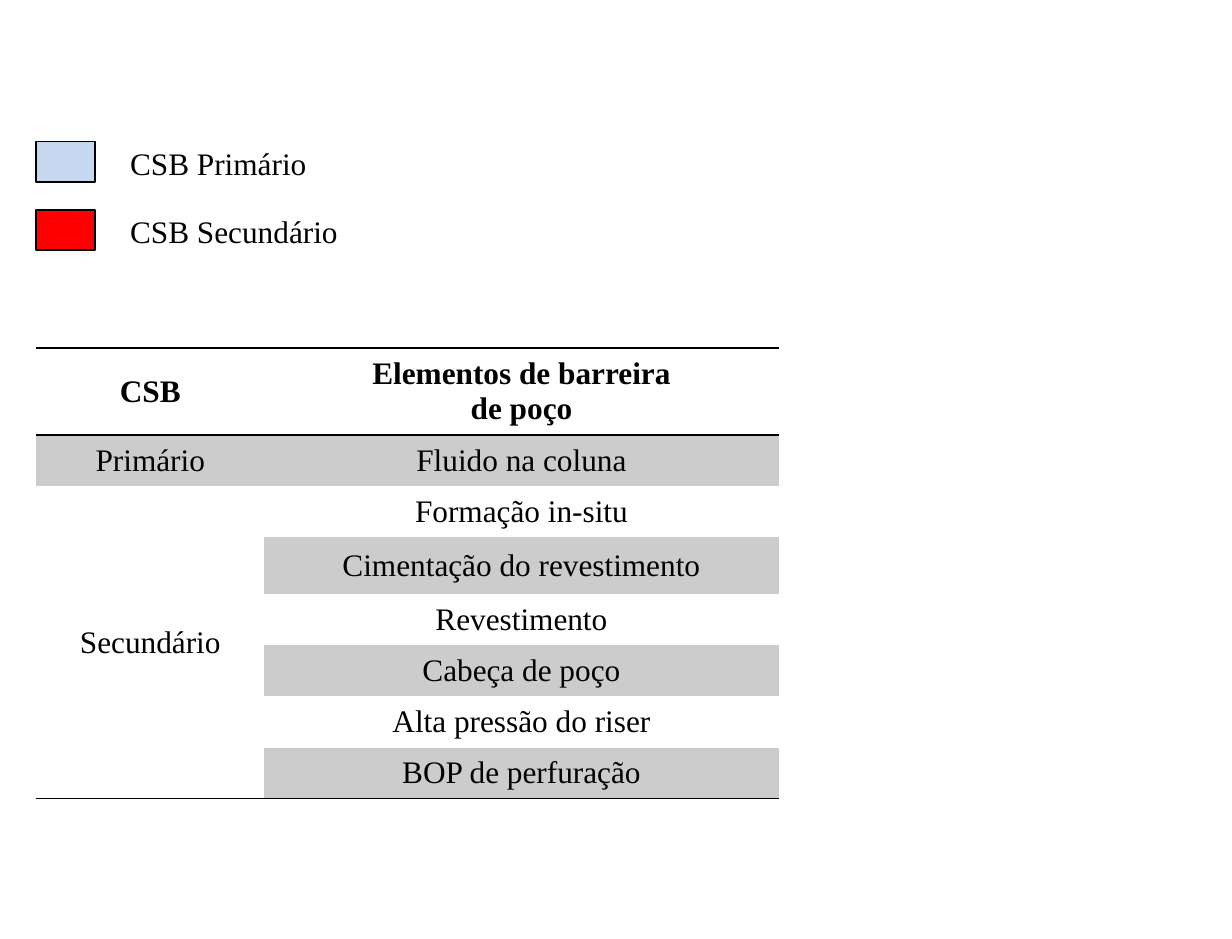
from pptx import Presentation
from pptx.dml.color import RGBColor
from pptx.enum.shapes import MSO_SHAPE
from pptx.enum.text import MSO_ANCHOR, PP_ALIGN
from pptx.oxml import parse_xml
from pptx.oxml.ns import nsdecls, qn
from pptx.util import Inches, Pt

RECTANGLE = MSO_SHAPE.RECTANGLE
MIDDLE = MSO_ANCHOR.MIDDLE
CENTER = PP_ALIGN.CENTER

COLORS = {"ink": "000000", "primary": "C6D8F0", "secondary": "FF0000", "band": "CCCCCC"}
FONT = "Times New Roman"
NO_STYLE = "{2D5ABB26-0587-4C30-8999-92F81FD0307C}"
SLIDE_WIDTH, SLIDE_HEIGHT = 9.84, 7.5
LEFT = 0.29

LEGEND = [("CSB Primário", "primary"), ("CSB Secundário", "secondary")]
BARRIERS = [
    ("CSB", "Elementos de barreira\nde poço"),
    ("Primário", "Fluido na coluna"),
    ("Secundário", "Formação in-situ"),
    ("", "Cimentação do revestimento"),
    ("", "Revestimento"),
    ("", "Cabeça de poço"),
    ("", "Alta pressão do riser"),
    ("", "BOP de perfuração"),
]
COLUMN_SHARES = [0.307, 0.693]
ROW_WEIGHTS = [0.7, 0.41, 0.41, 0.46, 0.41, 0.41, 0.41, 0.41]


def color(name):
    """Return a palette colour."""
    return RGBColor.from_string(COLORS[name])


def write(frame, text, bold=False, align=None):
    """Fill a text frame with the slide's type style."""
    frame.text = text
    for paragraph in frame.paragraphs:
        paragraph.alignment = align
        font = paragraph.font
        font.name, font.size, font.bold = FONT, Pt(18), bold
        font.color.rgb = color("ink")


def rule_cell(cell, sides):
    """Draw one-point rules on the given sides of a cell."""
    properties = cell._tc.get_or_add_tcPr()
    for position, side in enumerate(sides):
        properties.insert(position, parse_xml(
            f'<a:ln{side} {nsdecls("a")} w="{Pt(1)}"><a:solidFill>'
            f'<a:srgbClr val="{COLORS["ink"]}"/></a:solidFill></a:ln{side}>'))


def add_legend(slide, left, top, width, height):
    """Place a colour swatch and a label for each barrier set."""
    pitch = height / len(LEGEND)
    swatch_width, swatch_height = 0.18 * width, 0.59 * pitch
    label_left = 0.25 * width
    for index, (label, fill) in enumerate(LEGEND):
        row_top = top + index * pitch
        swatch = slide.shapes.add_shape(
            RECTANGLE, Inches(left), Inches(row_top),
            Inches(swatch_width), Inches(swatch_height))
        swatch.shadow.inherit = False
        swatch.fill.solid()
        swatch.fill.fore_color.rgb = color(fill)
        swatch.line.color.rgb = color("ink")
        swatch.line.width = Pt(1)
        caption = slide.shapes.add_textbox(
            Inches(left + label_left), Inches(row_top - 0.03),
            Inches(width - label_left), Inches(0.4))
        caption.text_frame.word_wrap = True
        write(caption.text_frame, label)


def add_barrier_table(slide, left, top, width, height):
    """Place the banded table of well barrier elements."""
    table = slide.shapes.add_table(
        len(BARRIERS), len(COLUMN_SHARES), Inches(left), Inches(top),
        Inches(width), Inches(height)).table
    table._tbl.tblPr.find(qn("a:tableStyleId")).text = NO_STYLE
    table.first_row = table.horz_banding = False
    for column, share in zip(table.columns, COLUMN_SHARES):
        column.width = Inches(width * share)
    for row, weight in zip(table.rows, ROW_WEIGHTS):
        row.height = Inches(height * weight / sum(ROW_WEIGHTS))

    last = len(BARRIERS) - 1
    table.cell(2, 0).merge(table.cell(last, 0))
    for row_index, texts in enumerate(BARRIERS):
        for column_index, text in enumerate(texts):
            cell = table.cell(row_index, column_index)
            cell.vertical_anchor = MIDDLE
            if text:
                write(cell.text_frame, text, row_index == 0, CENTER)
            if row_index % 2 and text:
                cell.fill.solid()
                cell.fill.fore_color.rgb = color("band")
            else:
                cell.fill.background()
            if row_index == 0:
                rule_cell(cell, "TB")
            elif row_index == last or cell.is_merge_origin:
                rule_cell(cell, "B")


def main():
    """Build and save the slide."""
    deck = Presentation()
    deck.slide_width, deck.slide_height = Inches(SLIDE_WIDTH), Inches(SLIDE_HEIGHT)
    slide = deck.slides.add_slide(deck.slide_layouts[6])
    add_barrier_table(slide, LEFT, 2.78, 5.93, 3.6)
    add_legend(slide, LEFT, 1.13, 2.6, 1.09)
    deck.save("out.pptx")


if __name__ == "__main__":
    main()
